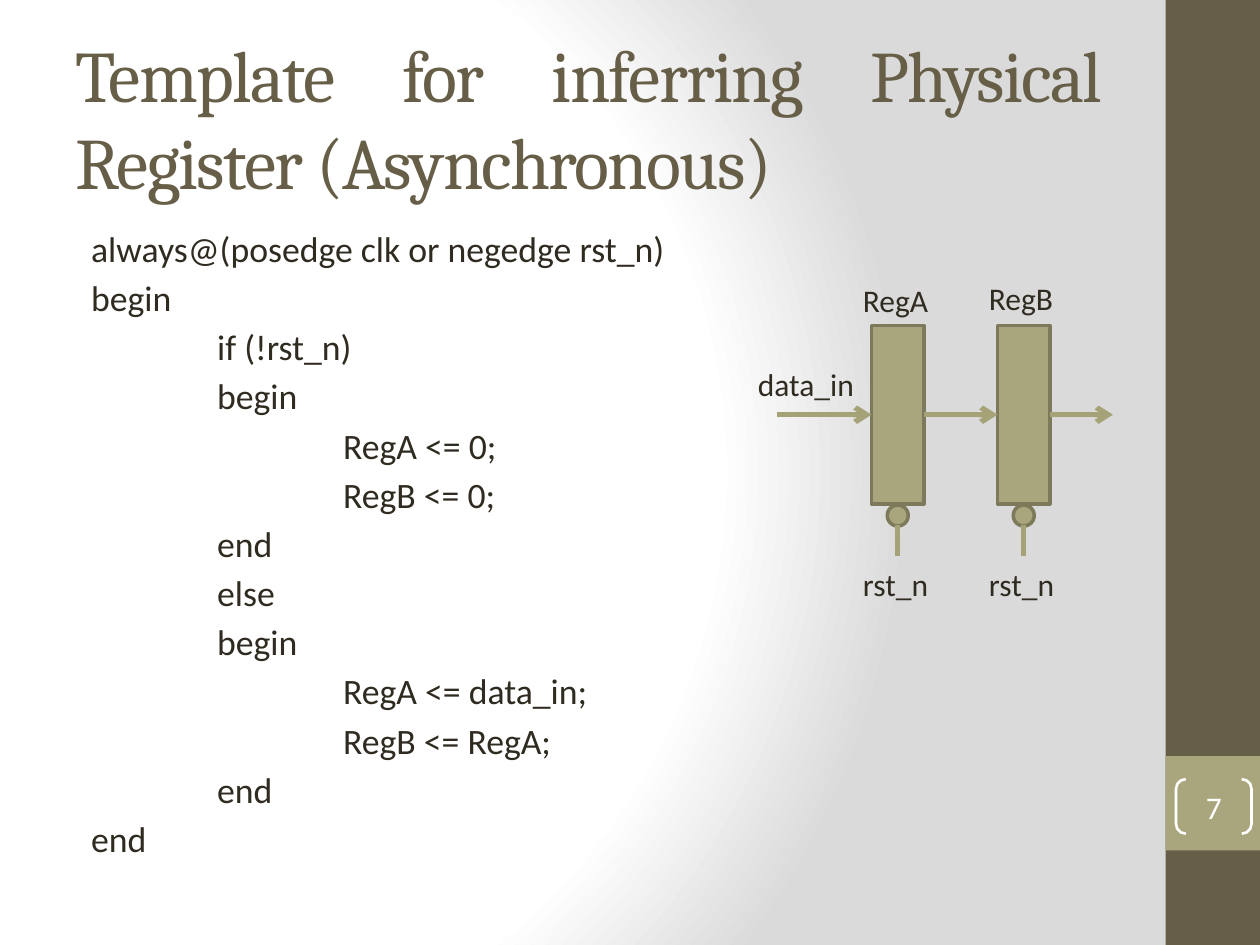
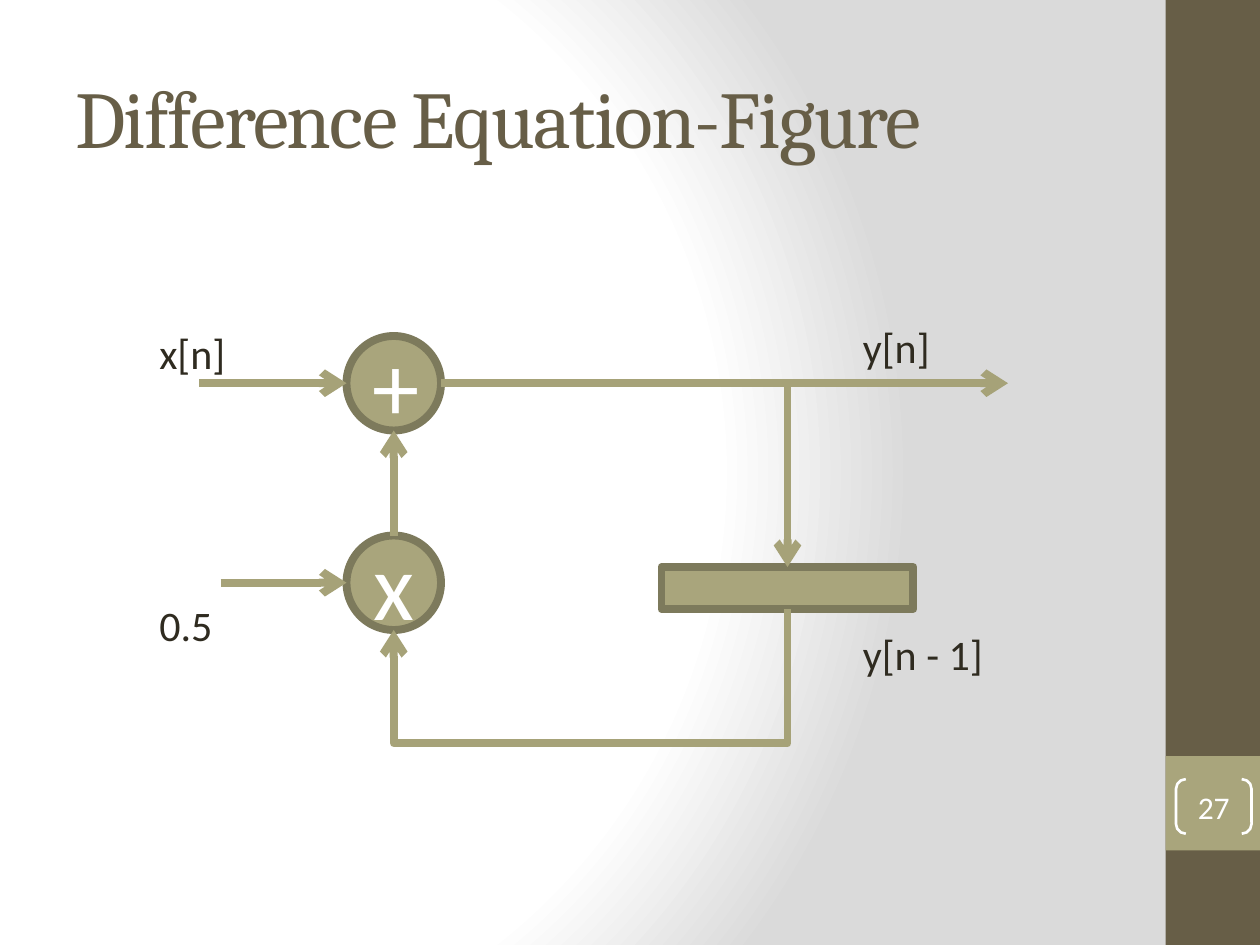
import dataclasses
import typing
import pptx
import pptx.dml.color
import pptx.enum.dml
import pptx.enum.shapes
import pptx.enum.text
import pptx.oxml
import pptx.oxml.ns
import pptx.util
import lxml.etree

COLS, ROWS = 120, 90
HUES = {
    "dark": "675E47", "fill": "A9A57C", "edge": "7D7A5C", "wire": "A6A278",
    "ink": "2F2B20", "white": "FFFFFF", "haze": "DADADA",
}
SHAPE = pptx.enum.shapes.MSO_SHAPE
LINK = pptx.enum.shapes.MSO_CONNECTOR
ALIGN = pptx.enum.text.PP_ALIGN
ANCHOR = pptx.enum.text.MSO_ANCHOR
Spot = typing.Tuple[float, float]

deck = pptx.Presentation()
deck.slide_width = pptx.util.Inches(10)
deck.slide_height = pptx.util.Inches(7.5)


@dataclasses.dataclass
class Box:
    col: float
    row: float
    wide: float
    high: float

    def place(self) -> typing.Tuple[int, int, int, int]:
        return (across(self.col), down(self.row),
                across(self.wide), down(self.high))


@dataclasses.dataclass
class Font:
    size: float
    hue: str = "ink"
    face: str = "Calibri"
    align: ALIGN = ALIGN.LEFT


@dataclasses.dataclass
class Block:
    kind: SHAPE
    box: Box
    weight: float
    sign: str = ""


@dataclasses.dataclass
class Wire:
    start: Spot
    end: Spot
    arrow: bool = True


@dataclasses.dataclass
class Label:
    text: str
    col: float
    row: float
    wide: float


@dataclasses.dataclass
class Code:
    text: str
    level: int = 0


def across(col: float) -> int:
    return round(deck.slide_width * col / COLS)


def down(row: float) -> int:
    return round(deck.slide_height * row / ROWS)


def tint(name: str) -> pptx.dml.color.RGBColor:
    return pptx.dml.color.RGBColor.from_string(HUES[name])


def child(node, tag: str, **marks: str):
    item = lxml.etree.SubElement(node, pptx.oxml.ns.qn(tag))
    for key, value in marks.items():
        item.set(key, value)
    return item


def style(para, font: Font) -> None:
    para.alignment = font.align
    para.font.size = pptx.util.Pt(font.size)
    para.font.name = font.face
    para.font.color.rgb = tint(font.hue)


def write(slide, text: str, box: Box, font: Font):
    shape = slide.shapes.add_textbox(*box.place())
    shape.text_frame.word_wrap = True
    para = shape.text_frame.paragraphs[0]
    para.text = text
    style(para, font)
    return shape


def draw(slide, kind: SHAPE, box: Box, fill: str = "",
         edge: str = "", weight: float = 0):
    shape = slide.shapes.add_shape(kind, *box.place())
    shape.shadow.inherit = False
    if fill:
        shape.fill.solid()
        shape.fill.fore_color.rgb = tint(fill)
    else:
        shape.fill.background()
    if edge:
        shape.line.color.rgb = tint(edge)
        shape.line.width = pptx.util.Pt(weight)
    else:
        shape.line.fill.background()
    return shape


def sign(shape, text: str, size: float) -> None:
    frame = shape.text_frame
    frame.vertical_anchor = ANCHOR.MIDDLE
    frame.paragraphs[0].text = text
    style(frame.paragraphs[0], Font(size, "white", align=ALIGN.CENTER))


def join(slide, wire: Wire, weight: float, kind: LINK = LINK.STRAIGHT):
    (left, top), (right, low) = wire.start, wire.end
    line = slide.shapes.add_connector(
        kind, across(left), down(top), across(right), down(low))
    line.line.color.rgb = tint("wire")
    line.line.width = pptx.util.Pt(weight)
    if wire.arrow:
        child(line.line.fill._xPr, "a:tailEnd", type="arrow")
    child(line.element.spPr, "a:effectLst")
    return line


def loop(slide, start: Spot, end: Spot, floor: float, weight: float) -> None:
    span, drop = start[0] - end[0], end[1] - start[1]
    mid = ((start[0] + end[0]) / 2, (start[1] + end[1]) / 2)
    wire = Wire((mid[0] - drop / 2, mid[1] - span / 2),
                (mid[0] + drop / 2, mid[1] + span / 2))
    line = join(slide, wire, weight, LINK.ELBOW)
    line.element.spPr.find(pptx.oxml.ns.qn("a:xfrm")).set("rot", "5400000")
    shape = line.element.spPr.find(pptx.oxml.ns.qn("a:prstGeom"))
    for old in list(shape):
        shape.remove(old)
    bend = round((floor - start[1]) / drop * 100000)
    child(child(shape, "a:avLst"), "a:gd", name="adj1", fmla=f"val {bend}")


def shade(slide) -> None:
    slide.background.fill.solid()
    base = slide.element.find(".//" + pptx.oxml.ns.qn("p:bgPr"))
    base.remove(base[0])
    grad = child(base, "a:gradFill", rotWithShape="1")
    stops = child(grad, "a:gsLst")
    for share, hue in ((0, "white"), (75, "white"), (100, "haze")):
        stop = child(stops, "a:gs", pos=str(share * 1000))
        child(stop, "a:srgbClr", val=HUES[hue])
    rays = child(grad, "a:path", path="circle")
    child(rays, "a:fillToRect", l="20000", t="50000", r="100000", b="50000")
    base.insert(0, grad)


def start(title: str, number: int, size: float, align: ALIGN):
    slide = deck.slides.add_slide(deck.slide_layouts[6])
    shade(slide)
    draw(slide, SHAPE.RECTANGLE, Box(111, 0, 9, ROWS), "dark")
    draw(slide, SHAPE.RECTANGLE, Box(111, 72, 9, 9), "fill")
    head = write(slide, title, Box(6, 3.6, 100, 15),
                 Font(size, "dark", "Cambria", align))
    head.text_frame.vertical_anchor = ANCHOR.MIDDLE
    for run in head.text_frame.paragraphs[0].runs:
        run.font._element.set("spc", "-100")
    badge = draw(slide, SHAPE.DOUBLE_BRACKET, Box(112, 74.2, 7.2, 5.2),
                 edge="white", weight=1.5)
    badge.adjustments[0] = 0.18
    frame = badge.text_frame
    frame.margin_left = frame.margin_right = 0
    frame.margin_top = frame.margin_bottom = 0
    sign(badge, str(number), 18)
    return slide


def list_code(slide, lines: typing.List[Code]) -> None:
    font = Font(20.4)
    frame = write(slide, lines[0].text, Box(6, 21, 100, 63), font).text_frame
    for line in lines[1:]:
        frame.add_paragraph().text = line.text
    for para, line in zip(frame.paragraphs, lines):
        style(para, font)
        para.space_before = pptx.util.Pt(3.6)
        marks = para._p.get_or_add_pPr()
        marks.set("marL", str(across(1.5 + 12 * line.level)))
        marks.set("indent", "0")


def chart(slide, blocks: typing.List[Block], wires: typing.List[Wire],
          labels: typing.List[Label], weight: float, size: float) -> None:
    for block in blocks:
        shape = draw(slide, block.kind, block.box, "fill", "edge",
                     block.weight)
        if block.sign:
            sign(shape, block.sign, 54)
    for wire in wires:
        join(slide, wire, weight)
    for label in labels:
        write(slide, label.text,
              Box(label.col, label.row, label.wide, size / 4), Font(size))


def reset_slide() -> None:
    slide = start("Template for inferring Physical Register (Asynchronous)",
                  7, 41.4, ALIGN.JUSTIFY)
    list_code(slide, [
        Code("always@(posedge clk or negedge rst_n)"),
        Code("begin"),
        Code("if (!rst_n)", 1),
        Code("begin", 1),
        Code("RegA <= 0;", 2),
        Code("RegB <= 0;", 2),
        Code("end", 1),
        Code("else", 1),
        Code("begin", 1),
        Code("RegA <= data_in;", 2),
        Code("RegB <= RegA;", 2),
        Code("end", 1),
        Code("end"),
    ])
    blocks = []
    wires = [Wire((74, 39.5), (83, 39.5)), Wire((88, 39.5), (95, 39.5)),
             Wire((100, 39.5), (106, 39.5))]
    labels = [Label("data_in", 71, 34.2, 13)]
    for name, col, row in (("RegA", 83, 26.2), ("RegB", 95, 26)):
        mid = col + 2.5
        blocks += [Block(SHAPE.RECTANGLE, Box(col, 31, 5, 17), 2),
                   Block(SHAPE.OVAL, Box(mid - 1, 48.1, 2, 2), 2)]
        wires.append(Wire((mid, 50), (mid, 53), False))
        labels += [Label(name, col - 2, row, 13),
                   Label("rst_n", col - 2, 53.2, 9)]
    chart(slide, blocks, wires, labels, 3, 18)


def figure_slide() -> None:
    slide = start("Difference Equation-Figure", 27, 46, ALIGN.LEFT)
    blocks = [Block(SHAPE.RECTANGLE, Box(63, 54, 24, 4), 4.5),
              Block(SHAPE.OVAL, Box(33, 32, 9, 9), 4.5, "+"),
              Block(SHAPE.OVAL, Box(33, 51, 9, 9), 4.5, "x")]
    wires = [Wire((19, 36.5), (33, 36.5)), Wire((42, 36.5), (96, 36.5)),
             Wire((75, 36.5), (75, 54)), Wire((37.5, 51), (37.5, 41)),
             Wire((21, 55.5), (33, 55.5))]
    labels = [Label("x[n]", 14, 30.6, 17), Label("y[n]", 81, 30, 17),
              Label("y[n - 1]", 81, 59.3, 17), Label("0.5", 14, 56.5, 17)]
    chart(slide, blocks, wires, labels, 4.5, 24)
    loop(slide, (75, 58), (37.5, 60), 70.8, 4.5)


reset_slide()
figure_slide()
deck.save("out.pptx")
